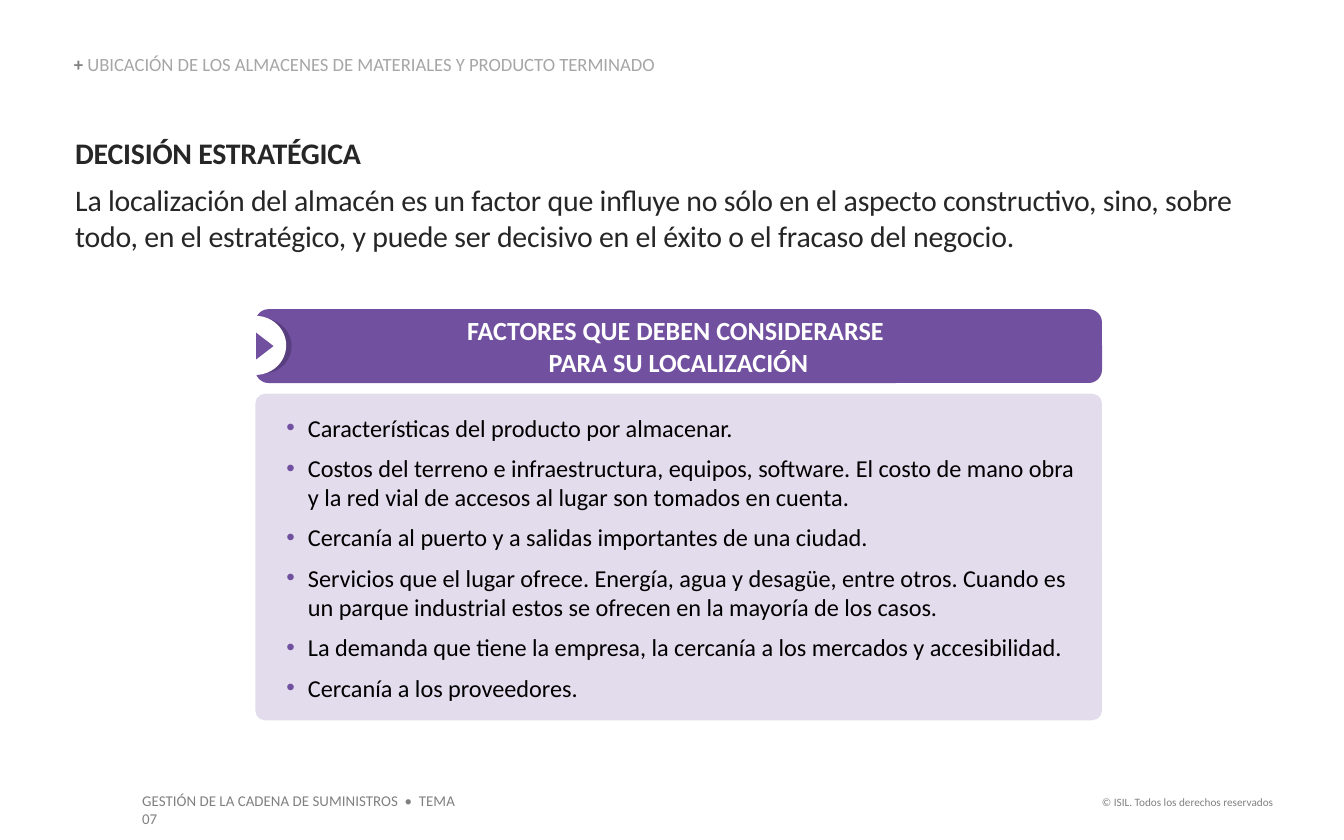
"""Build a slide on the strategic choice of a warehouse site."""
from lxml.etree import SubElement as Sub
from pptx import Presentation as Deck
from pptx.dml.color import RGBColor as Rgb
from pptx.enum.shapes import MSO_SHAPE as Kind
from pptx.enum.text import MSO_ANCHOR as Anchor, PP_ALIGN as Align
from pptx.oxml.ns import qn
from pptx.util import Inches, Pt

HUES = {"plum": "7150A0", "dusk": "593E7F", "lilac": "E3DCED", "white": "FFFFFF",
        "black": "000000", "ink": "262626", "gray": "808080", "pale": "A6A6A6"}

deck = Deck()
deck.slide_width, deck.slide_height = Inches(10), Inches(6.25)
unit = deck.slide_width / 100
page = deck.slides.add_slide(deck.slide_layouts[6])


def place(kind, left, top, wide, high, fill=None, pad=(0, 0, 0, 0), anchor=Anchor.TOP):
    """Add a shape, or a text box when kind is None, in grid units."""
    area = [round(n * unit) for n in (left, top, wide, high)]
    if kind is None:
        item = page.shapes.add_textbox(*area)
    else:
        item = page.shapes.add_shape(kind, *area)
        item.shadow.inherit = False
        item.fill.solid()
        item.fill.fore_color.rgb = Rgb.from_string(HUES[fill])
        item.line.fill.background()
    frame = item.text_frame
    frame.word_wrap = True
    frame.vertical_anchor = anchor
    (frame.margin_left, frame.margin_top,
     frame.margin_right, frame.margin_bottom) = [round(n * unit) for n in pad]
    return item


def style(para, size, hue, bold=False, align=Align.LEFT):
    """Format every run of a paragraph."""
    para.alignment = align
    for run in para.runs:
        font = run.font
        font.name, font.size, font.bold = "Calibri", Pt(size), bold
        font.color.rgb = Rgb.from_string(HUES[hue])


inset = (1, 0.5, 1, 0.5)
left, wide = 19, 63

for text, area, size, align in [
    ("© ISIL. Todos los derechos reservados", (78.8, 58.7, 16.9, 2), 6, Align.RIGHT),
    ("GESTIÓN DE LA CADENA DE SUMINISTROS  •  TEMA 07", (9.6, 58.4, 26.6, 2.4), 8, Align.LEFT),
]:
    foot = place(None, *area, pad=inset).text_frame
    foot.text = text
    style(foot.paragraphs[0], size, "gray", align=align)

intro = place(None, 5.5, 10, 87.2, 8.9).text_frame
intro.text = ("DECISIÓN ESTRATÉGICA\n"
              "La localización del almacén es un factor que influye no sólo en el aspecto "
              "constructivo, sino, sobre todo, en el estratégico, y puede ser decisivo en "
              "el éxito o el fracaso del negocio.")
for para, bold in zip(intro.paragraphs, (True, False)):
    style(para, 16, "ink", bold)
    para._p.get_or_add_pPr().set("marL", str(Inches(0.01)))
    for run in para.runs:
        run.font._element.set("spc", "-10")
intro.paragraphs[0].space_after = Pt(6)

head = place(None, 5.5, 4.1, 46.5, 1.5, anchor=Anchor.BOTTOM).text_frame.paragraphs[0]
head.text = "+ "
style(head, 10, "gray", True)
head.line_spacing = 0.9
topic = head.add_run()
topic.text = "UBICACIÓN DE LOS ALMACENES DE MATERIALES Y PRODUCTO TERMINADO"
topic.font.name, topic.font.size, topic.font.bold = "Calibri", Pt(10), False
topic.font.color.rgb = Rgb.from_string(HUES["pale"])

band = place(Kind.ROUNDED_RECTANGLE, left, 23, wide, 5.5, "plum", inset, Anchor.MIDDLE)
band.adjustments[0] = 0.18
title = band.text_frame.paragraphs[0]
title.text = "FACTORES QUE DEBEN CONSIDERARSE \vPARA SU LOCALIZACIÓN"
style(title, 14, "white", True, Align.CENTER)

panel = place(Kind.ROUNDED_RECTANGLE, left, 29.3, wide, 24.3, "lilac", (1.2, 1.2, 1.2, 0.5))
panel.adjustments[0] = 0.03
panel.text_frame.text = "\n".join([
    "Características del producto por almacenar.",
    "Costos del terreno e infraestructura, equipos, software. El costo de mano obra "
    "y la red vial de accesos al lugar son tomados en cuenta.",
    "Cercanía al puerto y a salidas importantes de una ciudad.",
    "Servicios que el lugar ofrece. Energía, agua y desagüe, entre otros. Cuando es "
    "un parque industrial estos se ofrecen en la mayoría de los casos.",
    "La demanda que tiene la empresa, la cercanía a los mercados y accesibilidad.",
    "Cercanía a los proveedores.",
])
for para in panel.text_frame.paragraphs:
    props = para._p.get_or_add_pPr()
    props.set("marL", str(Inches(0.25)))
    props.set("indent", str(Inches(-0.16)))
    Sub(Sub(props, qn("a:buClr")), qn("a:srgbClr"), val=HUES["plum"])
    Sub(props, qn("a:buFont"), typeface="Arial")
    Sub(props, qn("a:buChar"), char="•")
    para.level = 1
    para.space_after = Pt(6)
    style(para, 13, "black")

place(Kind.OVAL, 17.4, 23.7, 4.3, 4.1, "dusk")
place(Kind.OVAL, 16.7, 23.5, 4.6, 4.4, "white")
mark = place(Kind.ISOSCELES_TRIANGLE, 18.7, 25.1, 2, 1.3, "plum")
mark.rotation = 90

deck.save("out.pptx")
